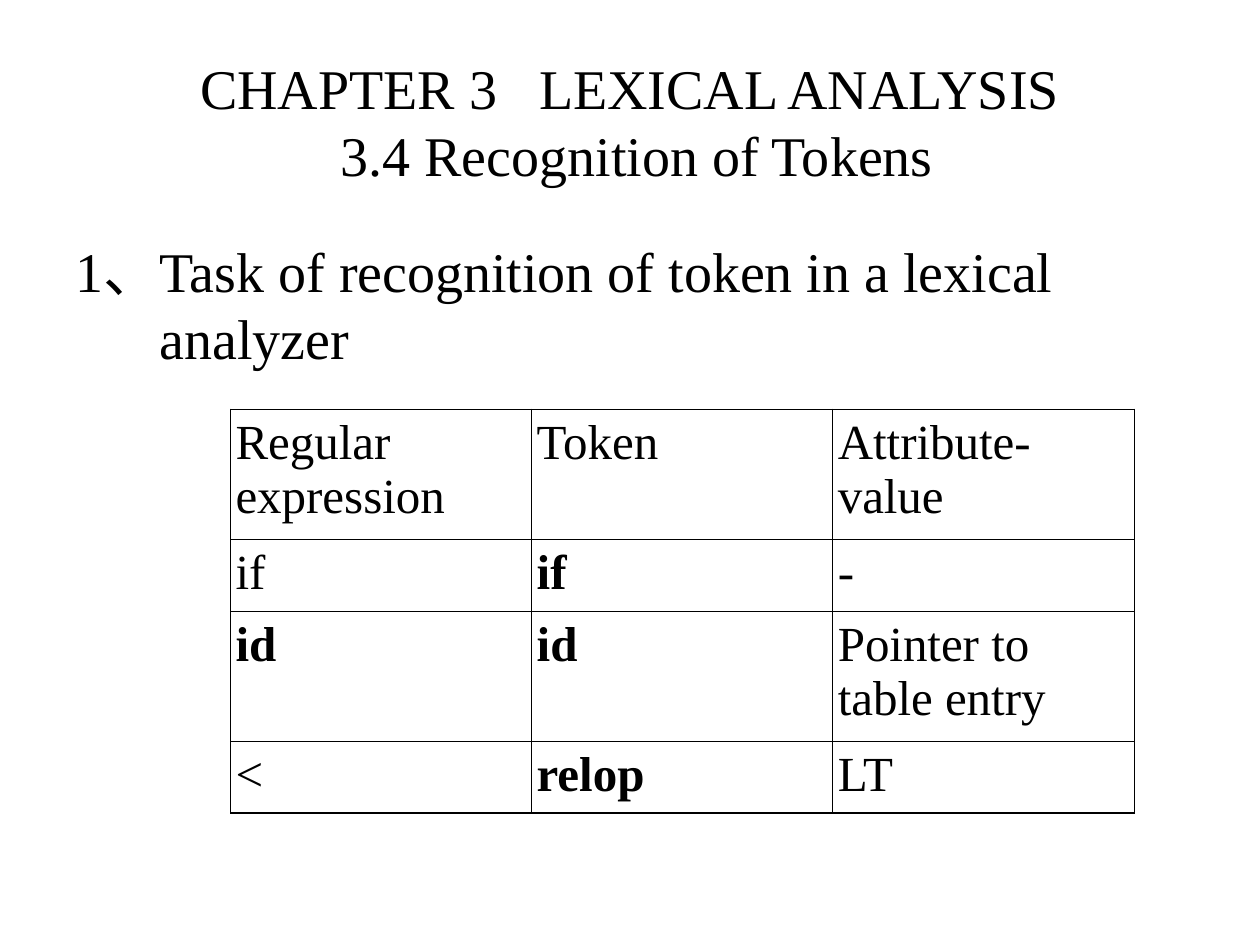
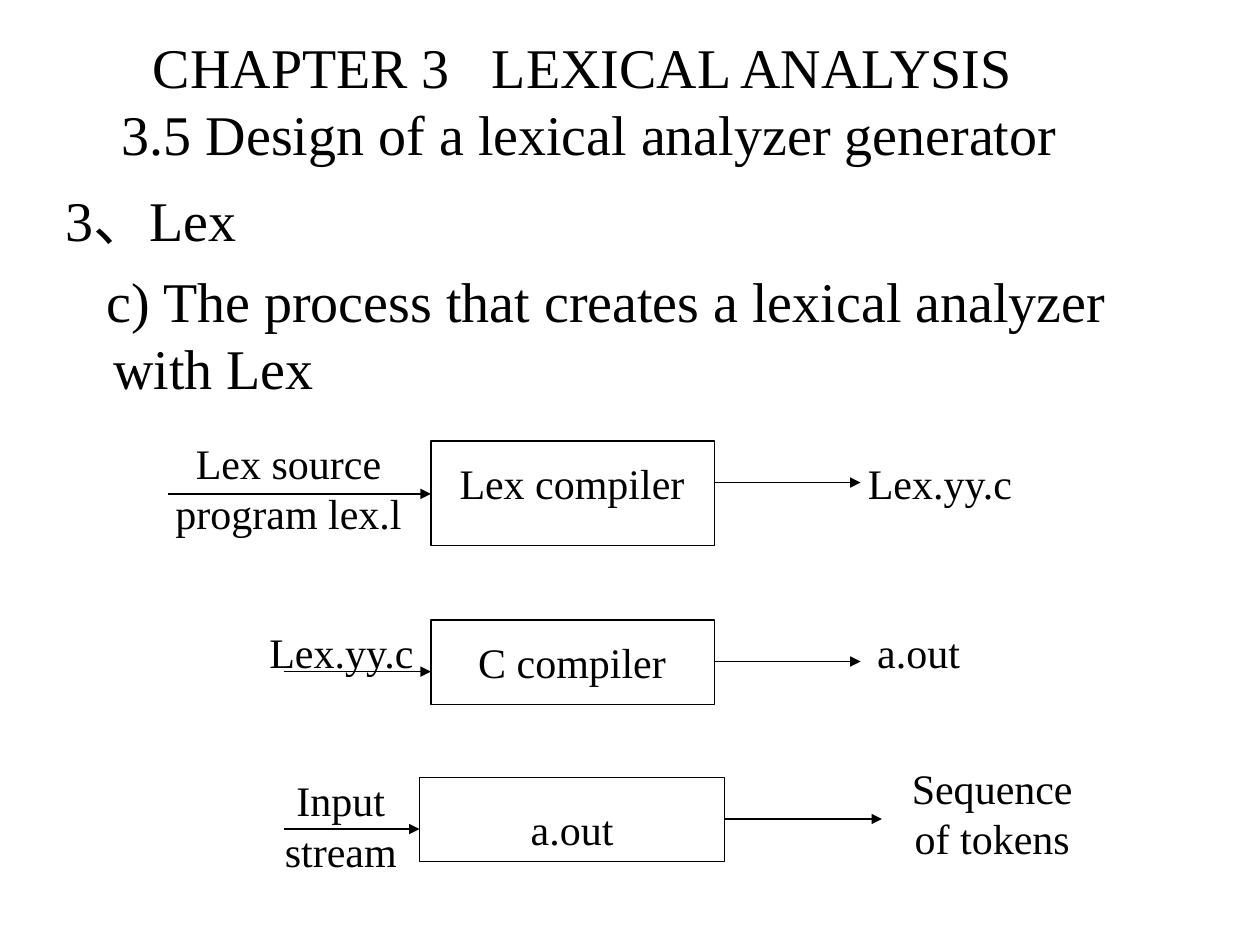
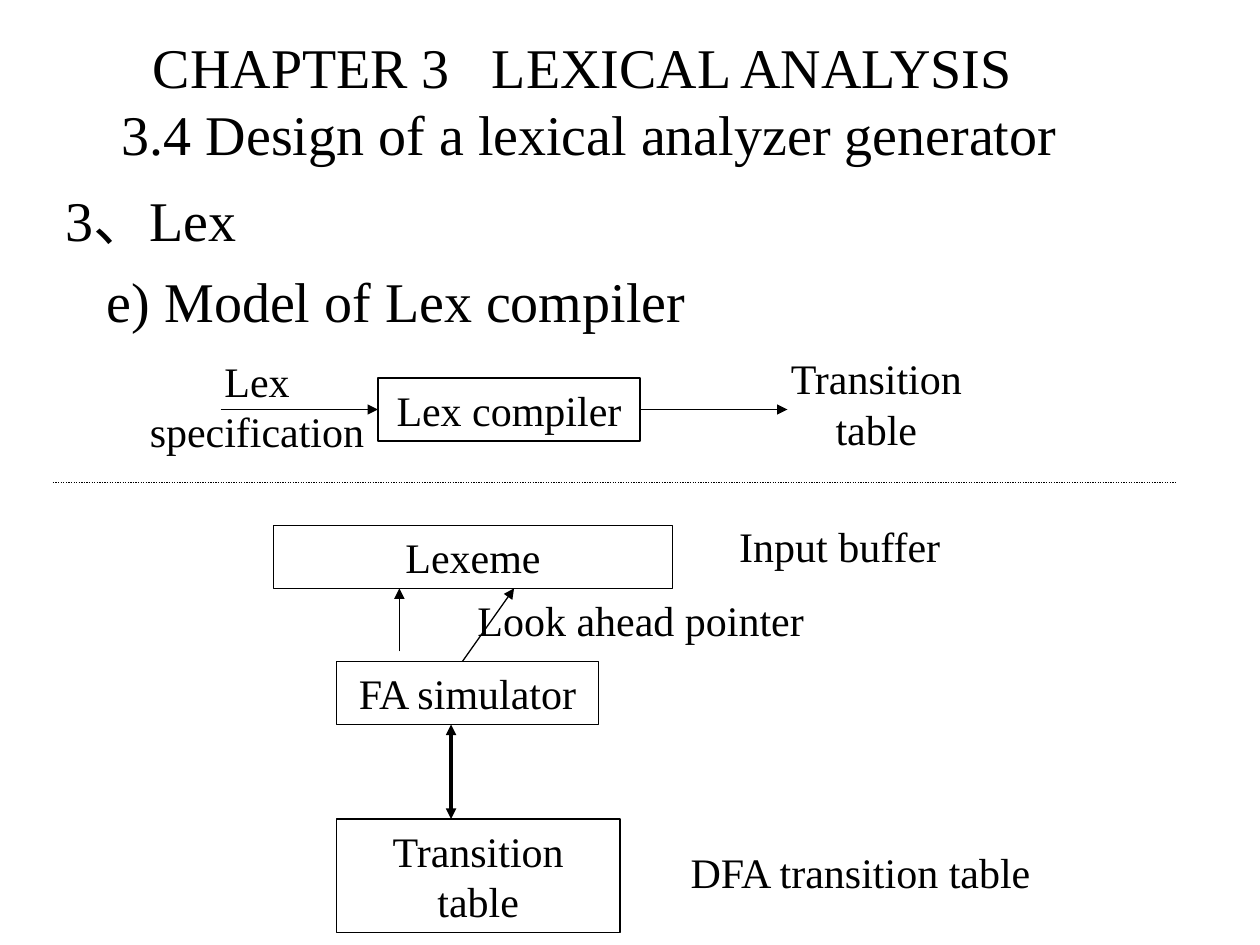
import pptx
import pptx.util
import pptx.dml.color
import pptx.enum.dml
import pptx.enum.shapes
import pptx.enum.text
import pptx.oxml
import pptx.oxml.ns

Inches = pptx.util.Inches
Pt = pptx.util.Pt
Align = pptx.enum.text.PP_ALIGN
Anchor = pptx.enum.text.MSO_ANCHOR
qn = pptx.oxml.ns.qn

FONT = "Times New Roman"
INK = "000000"
PAPER = "FFFFFF"
CHAPTER = "CHAPTER 3   LEXICAL ANALYSIS"
LEX_HEAD = (0, 0, 9.25, 1.58)
THIN = 0.75


def color(code):
    return pptx.dml.color.RGBColor.from_string(code)


def place(at):
    return [Inches(n) for n in at]


def node(tag, body="", **attrs):
    """Make one drawing element."""
    pairs = "".join(f' {k}="{v}"' for k, v in attrs.items())
    names = pptx.oxml.ns.nsdecls("a")
    return pptx.oxml.parse_xml(f"<a:{tag} {names}{pairs}>{body}</a:{tag}>")


def write(frame, *lines, size=24, bold=False, align=Align.LEFT, anchor=Anchor.TOP,
          gap=0, hang=()):
    """Fill a frame; hang holds (left margin, first indent) for each line."""
    frame.word_wrap = True
    frame.vertical_anchor = anchor
    for i, line in enumerate(lines):
        para = frame.paragraphs[0] if i == 0 else frame.add_paragraph()
        para.alignment = align
        para.space_before = Pt(gap if i else 0)
        if hang:
            left, first = hang[i]
            props = para._p.get_or_add_pPr()
            props.set("marL", str(Inches(left)))
            props.set("indent", str(Inches(first)))
        run = para.add_run()
        run.text = line
        run.font.name = FONT
        run.font.size = Pt(size)
        run.font.bold = bold
        run.font.color.rgb = color(INK)


def start(deck, topic, at):
    """Add a slide with the chapter and topic as its title."""
    slide = deck.slides.add_slide(deck.slide_layouts[5])
    slide.background.fill.solid()
    slide.background.fill.fore_color.rgb = color(PAPER)
    head = slide.shapes.title
    head.left, head.top, head.width, head.height = place(at)
    head.text_frame.auto_size = pptx.enum.text.MSO_AUTO_SIZE.NONE
    write(head.text_frame, CHAPTER, " " + topic, size=32,
          align=Align.CENTER, anchor=Anchor.MIDDLE)
    return slide


def body(slide, at, *lines, hang):
    shape = slide.shapes.add_textbox(*place(at))
    write(shape.text_frame, *lines, size=32, gap=8, hang=hang)


def label(slide, text, *at):
    shape = slide.shapes.add_textbox(*place(at))
    write(shape.text_frame, text, align=Align.CENTER)


def box(slide, text, *at):
    kind = pptx.enum.shapes.MSO_SHAPE.RECTANGLE
    shape = slide.shapes.add_shape(kind, *place(at))
    shape.shadow.inherit = False
    shape.fill.background()
    shape.line.color.rgb = color(INK)
    shape.line.width = Pt(THIN)
    if text:
        write(shape.text_frame, text, align=Align.CENTER)


def line(slide, *ends, width=THIN, head=False, tail=True, dash=None):
    kind = pptx.enum.shapes.MSO_CONNECTOR.STRAIGHT
    link = slide.shapes.add_connector(kind, *place(ends))
    link.line.color.rgb = color(INK)
    link.line.width = Pt(width)
    if dash:
        link.line.dash_style = dash
    props = link._element.spPr
    stroke = props.find(qn("a:ln"))
    for tag, shown in (("headEnd", head), ("tailEnd", tail)):
        if shown:
            stroke.append(node(tag, type="triangle"))
    props.append(node("effectLst"))


def frame_cell(cell, top, base):
    """Draw the four borders of a cell."""
    props = cell._tc.get_or_add_tcPr()
    ink = f'<a:solidFill><a:srgbClr val="{INK}"/></a:solidFill>'
    sides = {"lnL": 0.45, "lnR": 0.45, "lnT": top, "lnB": base}
    for i, (tag, width) in enumerate(sides.items()):
        props.insert(i, node(tag, ink, w=int(Pt(width))))


def grid(slide, rows, bold, at, highs):
    table = slide.shapes.add_table(len(rows), len(rows[0]), *place(at)).table
    table.first_row = table.horz_banding = False
    for r, row in enumerate(rows):
        table.rows[r].height = Inches(highs[r])
        for c, text in enumerate(row):
            cell = table.cell(r, c)
            cell.fill.background()
            cell.margin_left = cell.margin_right = Inches(0.04)
            write(cell.text_frame, text, size=28, bold=(r, c) in bold)
            frame_cell(cell, 1.08 if r == 0 else 0.45,
                       1.08 if r == len(rows) - 1 else 0.45)


def tokens(deck):
    slide = start(deck, "3.4 Recognition of Tokens", (0.75, 0.17, 8.5, 1.58))
    body(slide, (0.5, 1.83, 9, 1.2),
         "1、Task of recognition of token in a lexical analyzer",
         hang=[(0.67, -0.67)])
    rows = [("Regular expression", "Token", "Attribute-value"),
            ("if", "if", "-"),
            ("id", "id", "Pointer to table entry"),
            ("<", "relop", "LT")]
    grid(slide, rows, {(1, 1), (2, 0), (2, 1), (3, 1)},
         (1.83, 3.25, 7.17, 2.8), (0.93, 0.47, 0.93, 0.47))


def process(deck):
    slide = start(deck, "3.5 Design of a lexical analyzer generator", LEX_HEAD)
    body(slide, (0.42, 1.42, 8.83, 1.83), "3、Lex",
         "c) The process that creates a lexical analyzer with Lex",
         hang=[(0.38, -0.38), (0.38, -0.05)])
    # Stage boxes
    for at in ((3.42, 3.5, 2.25, 0.83), (3.42, 4.92, 2.25, 0.67),
               (3.33, 6.17, 2.42, 0.67)):
        box(slide, "", *at)
    # Level arrows into and out of each stage
    for left, right, y in ((1.33, 3.42, 3.92), (5.67, 6.83, 3.83),
                           (2.25, 3.42, 5.33), (5.67, 6.83, 5.25),
                           (2.25, 3.33, 6.58), (5.75, 7, 6.5)):
        line(slide, left, y, right, y)
    # Inputs, outputs and stage names
    for item in (("Lex source program lex.l", 1.25, 3.42, 2.08, 0.9),
                 ("Lex.yy.c", 6.42, 3.58, 2.08, 0.5),
                 ("Lex.yy.c", 1.67, 4.92, 2.08, 0.5),
                 ("a.out", 6.25, 4.92, 2.08, 0.5),
                 ("Input stream", 1.83, 6.1, 1.75, 0.9),
                 ("Sequence of tokens", 7, 6, 1.75, 0.9),
                 ("Lex compiler", 3.5, 3.58, 2.08, 0.5),
                 ("C compiler", 3.5, 5, 2.08, 0.5),
                 ("a.out", 3.5, 6.33, 2.08, 0.5)):
        label(slide, *item)


def model(deck):
    slide = start(deck, "3.4 Design of a lexical analyzer generator", LEX_HEAD)
    body(slide, (0.42, 1.42, 9.33, 1.3), "3、Lex", "e) Model of Lex compiler",
         hang=[(0.38, -0.38), (0.38, -0.05)])
    # Components
    for item in (("Lex compiler", 3, 3, 2.08, 0.5),
                 ("Lexeme", 2.17, 4.17, 3.17, 0.5),
                 ("FA simulator", 2.67, 5.25, 2.08, 0.5),
                 ("Transition table", 2.67, 6.5, 2.25, 0.9)):
        box(slide, *item)
    # Arrows
    for ends in ((1.75, 3.25, 3, 3.25), (5.08, 3.25, 6.25, 3.25),
                 (3.17, 5.17, 3.17, 4.67), (3.67, 5.25, 4.08, 4.67)):
        line(slide, *ends)
    line(slide, 3.58, 5.75, 3.58, 6.5, width=2, head=True)
    # Divider between compiler and simulator
    line(slide, 0.42, 3.83, 9.33, 3.83, tail=False,
         dash=pptx.enum.dml.MSO_LINE.ROUND_DOT)
    # Captions
    for item in (("Lex specification", 1, 2.77, 2.08, 0.9),
                 ("Transition table", 6.08, 2.75, 1.75, 0.9),
                 ("Input buffer", 5.58, 4.08, 2.17, 0.5),
                 ("DFA transition table", 5.33, 6.67, 3, 0.5),
                 ("Look ahead pointer", 3.42, 4.67, 3.33, 0.5)):
        label(slide, *item)


def main():
    deck = pptx.Presentation()
    deck.slide_width, deck.slide_height = Inches(10), Inches(7.5)
    tokens(deck)
    process(deck)
    model(deck)
    deck.save("out.pptx")


if __name__ == "__main__":
    main()
